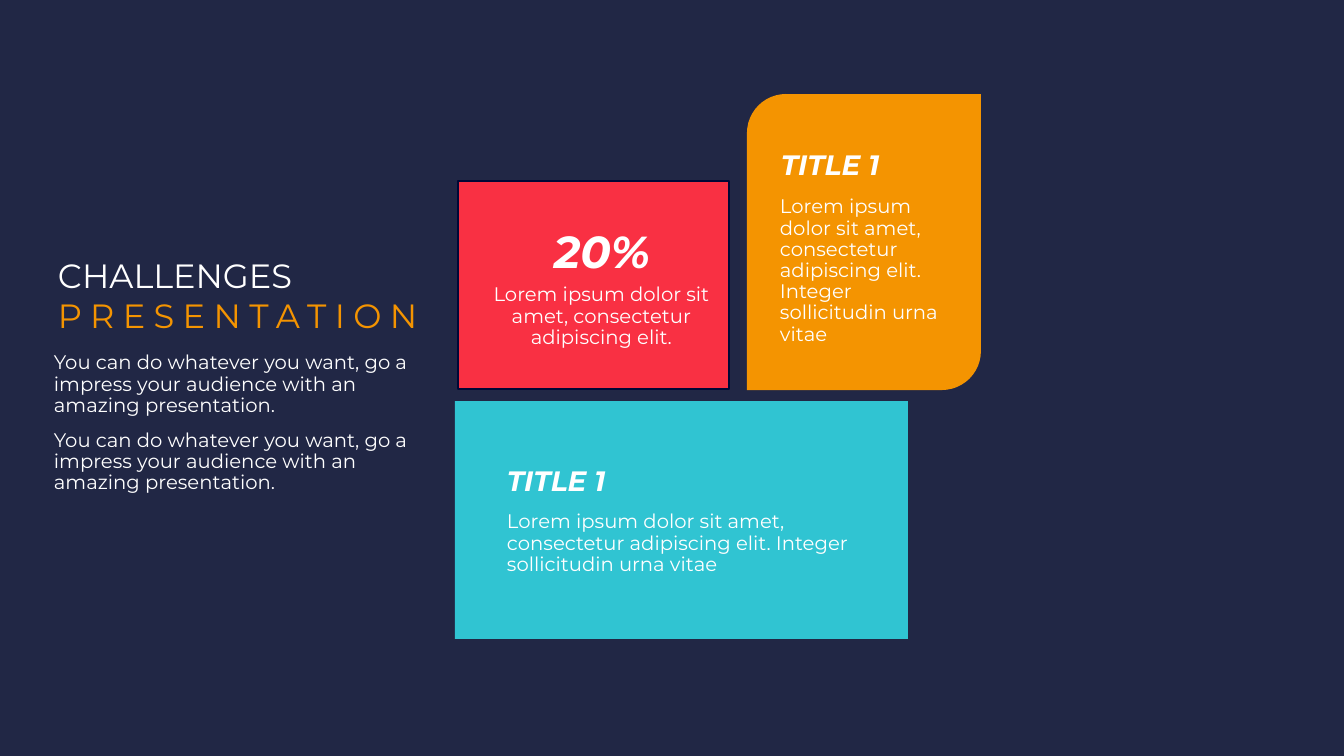
import pptx
import pptx.dml.color
import pptx.enum.shapes
import pptx.enum.text
import pptx.util
from dataclasses import dataclass

SHAPE = pptx.enum.shapes.MSO_SHAPE
ALIGN = pptx.enum.text.PP_ALIGN
EMU_PER_PX = 914400 / 100.8
SLIDE_SIZE = (1344, 756)


@dataclass(frozen=True)
class Theme:
    font: str = "Montserrat"
    navy: str = "212745"
    orange: str = "F49401"
    teal: str = "30C4D2"
    red: str = "F93043"
    outline: str = "000836"
    white: str = "FFFFFF"
    body: int = 14
    title: int = 20
    heading: int = 24
    figure: int = 32


THEME = Theme()
BODY = {"size": THEME.body}
TITLE = {"size": THEME.title, "bold": True, "italic": True}
FIGURE = {**TITLE, "size": THEME.figure}
HEADING = {"size": THEME.heading}

LOREM = "Lorem ipsum dolor sit amet, consectetur adipiscing elit."
LONG_LOREM = LOREM + " Integer sollicitudin urna vitae"
PITCH = "You can do whatever you want, go a impress your audience with an amazing presentation."


def px(length):
    return pptx.util.Emu(round(length * EMU_PER_PX))


def rgb(code):
    return pptx.dml.color.RGBColor.from_string(code)


def add_block(slide, preset, box, fill, outline=None):
    block = slide.shapes.add_shape(preset, *map(px, box))
    block.shadow.inherit = False
    block.fill.solid()
    block.fill.fore_color.rgb = rgb(fill)
    if outline:
        block.line.color.rgb = rgb(outline)
        block.line.width = pptx.util.Pt(1)
    else:
        block.line.fill.background()


def add_text(slide, box, lines, style, align=ALIGN.LEFT, spacing=0.9, gap=10):
    """Write one paragraph per line, gap points apart; return their runs."""
    frame = slide.shapes.add_textbox(*map(px, box)).text_frame
    frame.word_wrap = True
    font_format = {"name": THEME.font, **style, "size": pptx.util.Pt(style["size"])}
    runs = []
    for index, line in enumerate(lines):
        paragraph = frame.add_paragraph() if index else frame.paragraphs[0]
        paragraph.alignment = align
        paragraph.line_spacing = spacing
        if index:
            paragraph.space_before = pptx.util.Pt(gap)
        run = paragraph.add_run()
        run.text = line
        for key, value in font_format.items():
            setattr(run.font, key, value)
        run.font.color.rgb = rgb(THEME.white)
        runs.append(run)
    return runs


def add_card(slide, box, preset, fill, texts, align=ALIGN.LEFT, outline=None):
    """Draw a block and its texts, each text box offset from the block's corner."""
    add_block(slide, preset, box, fill, outline)
    left, top = box[:2]
    for (dx, dy, width, height), line, style in texts:
        add_text(slide, (left + dx, top + dy, width, height), [line], style, align)


def add_intro(slide, box):
    left, top, width, height = box
    _, accent = add_text(slide, (left + 4, top, width, 92),
                         ["CHALLENGES", "PRESENTATION"], HEADING, spacing=1.0, gap=0)
    accent.font.color.rgb = rgb(THEME.orange)
    accent._r.get_or_add_rPr().set("spc", "600")
    add_text(slide, (left, top + 98, width - 29, height - 98), [PITCH, PITCH], BODY)


def build_challenges_slide(slide):
    add_block(slide, SHAPE.RECTANGLE, (0, 0, *SLIDE_SIZE), THEME.navy)
    add_card(slide, (747, 94, 234, 296), SHAPE.ROUND_2_DIAG_RECTANGLE, THEME.orange, [
        ((24, 52, 210, 38), "TITLE 1", TITLE),
        ((23, 98, 186, 133), LONG_LOREM, BODY),
    ])
    add_card(slide, (455, 401, 453, 238), SHAPE.RECTANGLE, THEME.teal, [
        ((42, 61, 358, 38), "TITLE 1", TITLE),
        ((42, 106, 378, 84), LONG_LOREM, BODY),
    ])
    add_card(slide, (458, 181, 271, 208), SHAPE.RECTANGLE, THEME.red, [
        ((39, 44, 210, 38), "20%", FIGURE),
        ((14, 99, 259, 62), LOREM, BODY),
    ], ALIGN.CENTER, THEME.outline)
    add_intro(slide, (44, 250, 410, 296))


def main():
    deck = pptx.Presentation()
    deck.slide_width, deck.slide_height = map(px, SLIDE_SIZE)
    build_challenges_slide(deck.slides.add_slide(deck.slide_layouts[6]))
    deck.save("out.pptx")


if __name__ == "__main__":
    main()
